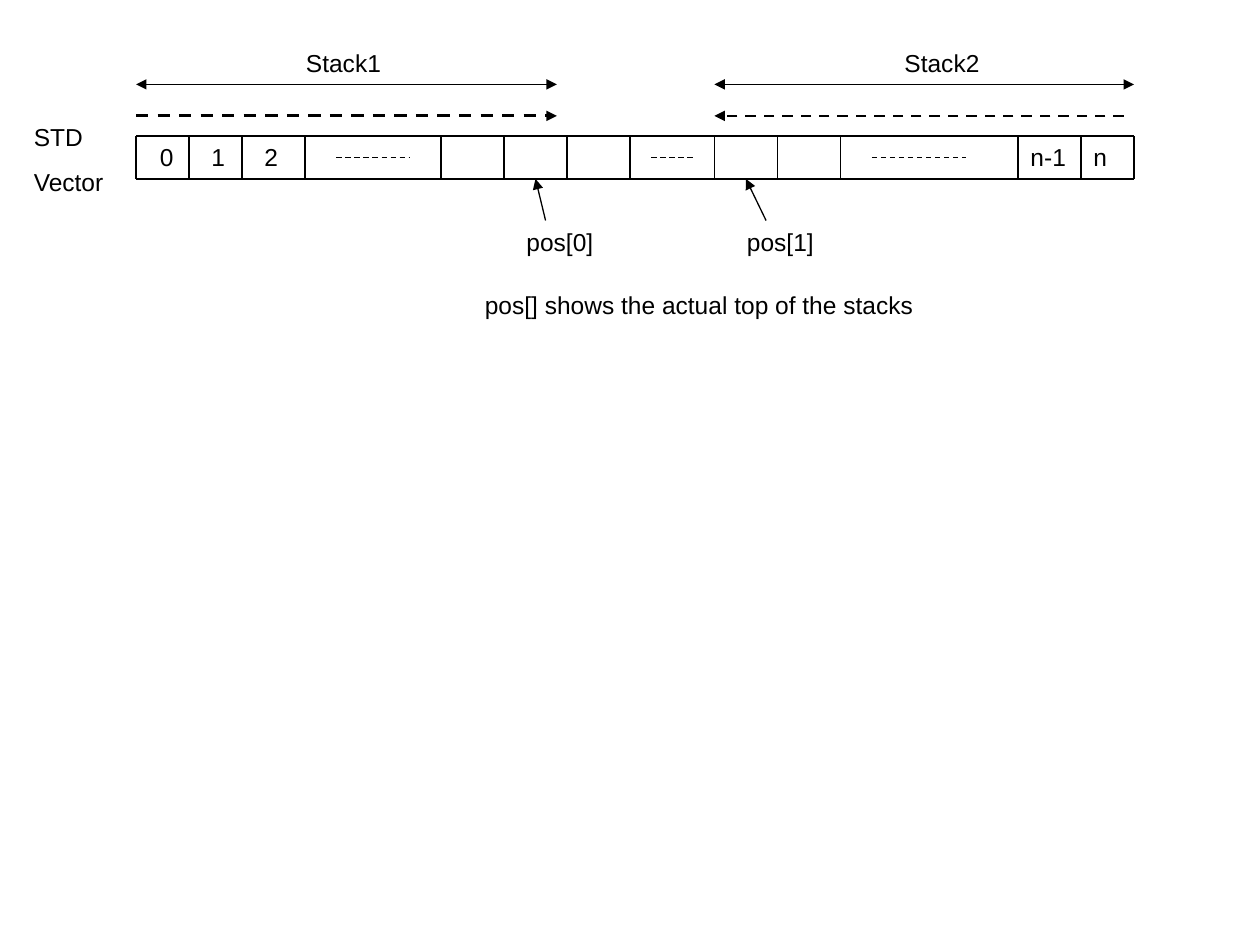
import pptx
import pptx.util
import pptx.dml.color
import pptx.enum.dml
import pptx.enum.shapes
import pptx.enum.text
import pptx.oxml
import pptx.oxml.ns

Inches = pptx.util.Inches
COLORS = {"ink": "000000"}
INK = pptx.dml.color.RGBColor.from_string(COLORS["ink"])

deck = pptx.Presentation()
deck.slide_width = Inches(10)
deck.slide_height = Inches(7.5)
slide = deck.slides.add_slide(deck.slide_layouts[6])


def add_line(start, end, width=0.75, dashed=False, arrows=()):
    """Draw a line; arrows lists "headEnd" (at start) and/or "tailEnd" (at end)."""
    line = slide.shapes.add_connector(
        pptx.enum.shapes.MSO_CONNECTOR.STRAIGHT,
        *(Inches(value) for value in (*start, *end)))
    line.line.color.rgb = INK
    line.line.width = pptx.util.Pt(width)
    if dashed:
        line.line.dash_style = pptx.enum.dml.MSO_LINE.DASH
    outline = line.line._get_or_add_ln()
    for arrow in arrows:
        end_mark = pptx.oxml.parse_xml(
            f'<a:{arrow} {pptx.oxml.ns.nsdecls("a")} type="triangle"/>')
        outline.append(end_mark)
    line._element.spPr.append(
        pptx.oxml.parse_xml(f'<a:effectLst {pptx.oxml.ns.nsdecls("a")}/>'))


def add_label(text, left, top, width, height=0.34):
    frame = slide.shapes.add_textbox(
        Inches(left), Inches(top), Inches(width), Inches(height)).text_frame
    frame.word_wrap = True
    frame.auto_size = pptx.enum.text.MSO_AUTO_SIZE.SHAPE_TO_FIT_TEXT
    frame.text = text
    for paragraph in frame.paragraphs:
        paragraph.space_before = pptx.util.Pt(8.8)
        paragraph.font.name = "Arial"
        paragraph.font.size = pptx.util.Pt(14)
        paragraph.font.color.rgb = INK


# The vector: two rails, cell dividers and dashes for the omitted cells
vector_left, vector_right = 1.08, 9
vector_top, vector_bottom = 1.08, 1.42
for rail in (vector_top, vector_bottom):
    add_line((vector_left, rail), (vector_right, rail))
dividers = (vector_left, 1.5, 1.92, 2.42, 3.5, 4, 4.5, 5,
            5.67, 6.17, 6.67, 8.08, 8.58, vector_right)
for divider in dividers:
    add_line((divider, vector_top), (divider, vector_bottom))
for gap_start, gap_end in ((2.67, 3.25), (5.17, 5.5), (6.92, 7.67)):
    add_line((gap_start, 1.25), (gap_end, 1.25), dashed=True)

cell_indexes = (("0", 1.17, 0.33), ("1", 1.58, 0.33), ("2", 2, 0.33),
                ("n-1", 8.08, 0.58), ("n", 8.58, 0.33))
for index, left, width in cell_indexes:
    add_label(index, left, vector_top, width)
add_label("STD\nVector", 0.17, 0.92, 0.83, 0.69)

# Extent of each stack, and the direction it grows in
stacks = (("Stack1", 2.33, vector_left, 4.42), ("Stack2", 7.08, 5.67, vector_right))
for stack, label_left, start, end in stacks:
    add_label(stack, label_left, 0.33, 0.83)
    add_line((start, 0.67), (end, 0.67), arrows=("headEnd", "tailEnd"))
for start, end, width in ((vector_left, 4.42, 1.75), (8.92, 5.67, 1.5)):
    add_line((start, 0.92), (end, 0.92), width, dashed=True, arrows=("tailEnd",))

# Pointers to the top of each stack
for pointer, left, target in (("pos[0]", 4.08, 4.25), ("pos[1]", 5.83, 5.92)):
    add_label(pointer, left, 1.75, 0.83)
    add_line((left + 0.25, 1.75), (target, vector_bottom), arrows=("tailEnd",))
add_label("pos[] shows the actual top of the stacks", 3.75, 2.25, 3.67)

deck.save("out.pptx")
